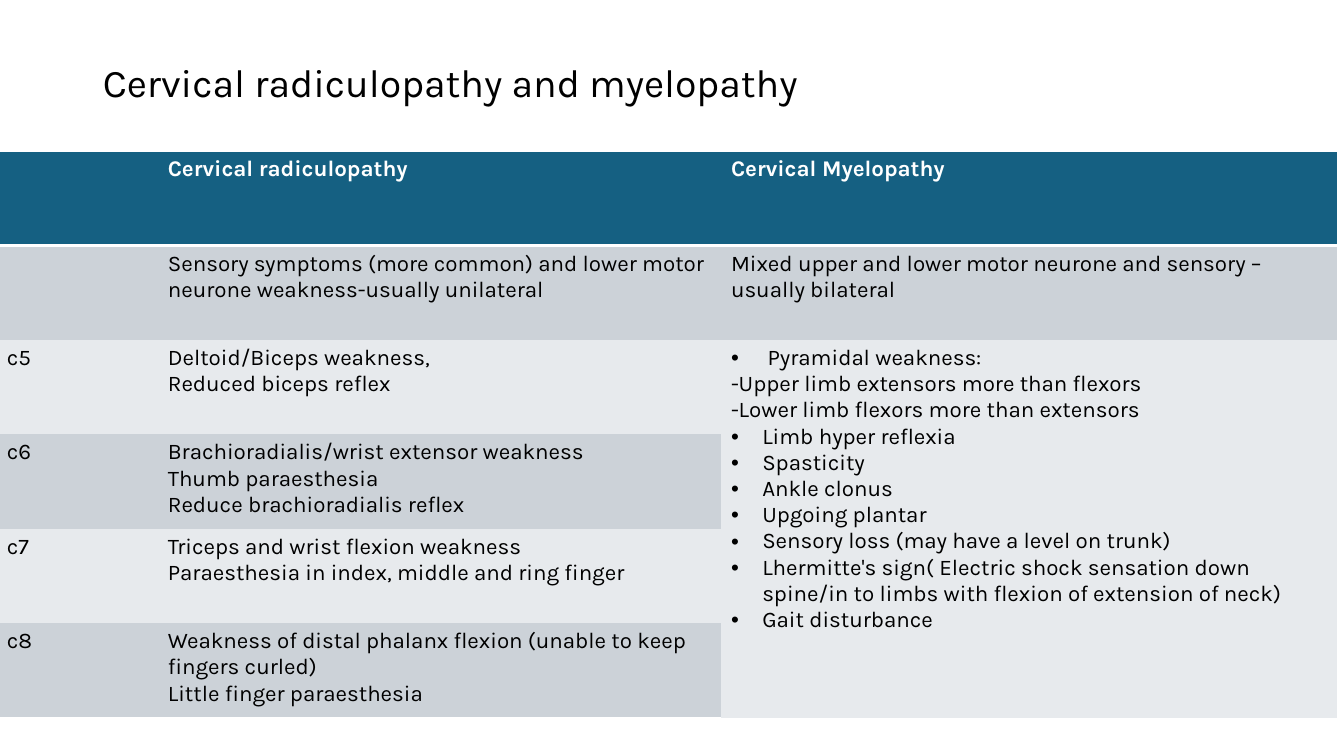
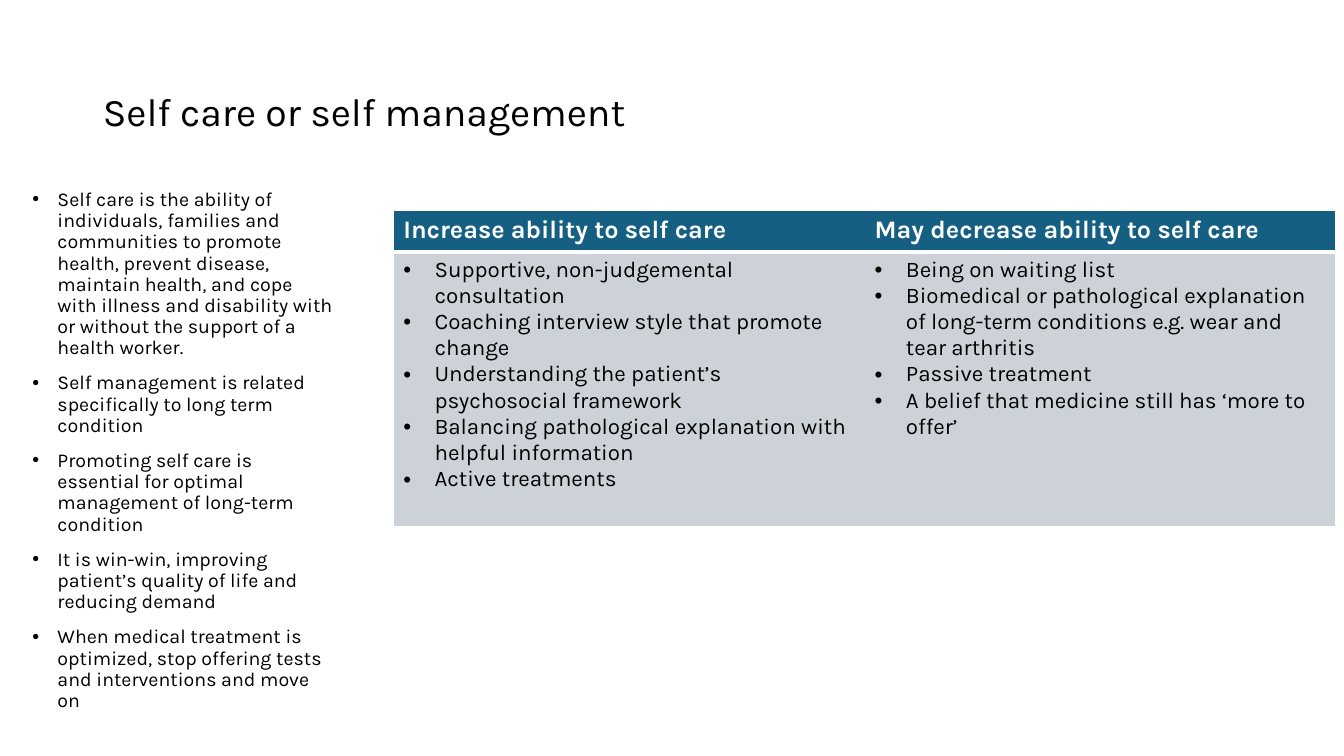
from collections import namedtuple

from lxml.etree import SubElement
from pptx import Presentation
from pptx.dml.color import RGBColor
from pptx.enum.text import MSO_ANCHOR, MSO_AUTO_SIZE, PP_ALIGN
from pptx.oxml.ns import qn
from pptx.util import Inches, Pt

# Shared look
FONT = "Karla"
BLACK = RGBColor(0x00, 0x00, 0x00)
WHITE = RGBColor(0xFF, 0xFF, 0xFF)
HEADER_BLUE = RGBColor(0x15, 0x60, 0x82)
ROW_FILLS = (RGBColor(0xCC, 0xD2, 0xD8), RGBColor(0xE7, 0xEA, 0xED))
PLAIN_TABLE_STYLE = "{2D5ABB26-0587-4C30-8999-92F81FD0307C}"

SLIDE_WIDTH, SLIDE_HEIGHT = Inches(13.33), Inches(7.5)
TITLE_ONLY, TITLE_AND_BODY = 5, 1
TITLE_LEFT, TITLE_TOP, TITLE_WIDTH = 6.9, 5.33, 86.25

Box = namedtuple("Box", "left top width height")

# Slide content
RADICULOPATHY_ROWS = [
    [[], ["Cervical radiculopathy"], ["Cervical Myelopathy"]],
    [[],
     ["Sensory symptoms (more common) and lower motor neurone weakness-usually unilateral"],
     ["Mixed upper and lower motor neurone and sensory –usually bilateral"]],
    [["c5"], ["Deltoid/Biceps weakness,", "Reduced biceps reflex"], []],
    [["c6"], ["Brachioradialis/wrist extensor weakness", "Thumb paraesthesia",
              "Reduce brachioradialis reflex"], []],
    [["c7"], ["Triceps and wrist flexion weakness",
              "Paraesthesia in index, middle and ring finger"], []],
    [["c8"], ["Weakness of distal phalanx flexion (unable to keep fingers curled)",
              "Little finger paraesthesia"], []],
]
MYELOPATHY_SIGNS = [
    " Pyramidal weakness:",
    "-Upper limb extensors more than flexors",
    "-Lower limb flexors more than extensors",
    "Limb hyper reflexia",
    "Spasticity",
    "Ankle clonus",
    "Upgoing plantar",
    "Sensory loss (may have a level on trunk)",
    "Lhermitte's sign( Electric shock sensation down spine/in to limbs "
    "with flexion of extension of neck)",
    "Gait disturbance",
]
SELF_CARE_POINTS = [
    "Self care is the ability of individuals, families and communities to promote health, "
    "prevent disease, maintain health, and cope with illness and disability with or without "
    "the support of a health worker.",
    "Self management is related specifically to long term condition",
    "Promoting self care is essential for optimal management of long-term condition",
    "It is win-win, improving patient’s quality of life and reducing demand",
    "When medical treatment is optimized, stop offering tests and interventions and move on",
]
SELF_CARE_ROWS = [
    [["Increase ability to self care"], ["May decrease ability to self care"]],
    [["Supportive, non-judgemental consultation",
      "Coaching interview style that promote change",
      "Understanding the patient’s psychosocial framework",
      "Balancing pathological explanation with helpful information",
      "Active treatments"],
     ["Being on waiting list",
      "Biomedical or pathological explanation of long-term conditions e.g. wear and tear arthritis",
      "Passive treatment",
      "A belief that medicine still has ‘more to offer’"]],
]


def scaled(box):
    """Turn a box in percent of the slide into slide lengths."""
    return Box(int(SLIDE_WIDTH * box.left / 100), int(SLIDE_HEIGHT * box.top / 100),
               int(SLIDE_WIDTH * box.width / 100), int(SLIDE_HEIGHT * box.height / 100))


def place(shape, box):
    shape.left, shape.top, shape.width, shape.height = scaled(box)


def add_bullet(paragraph, indent):
    properties = paragraph._p.get_or_add_pPr()
    properties.set("marL", str(Inches(indent)))
    properties.set("indent", str(-Inches(indent)))
    SubElement(properties, qn("a:buFont")).set("typeface", "Arial")
    SubElement(properties, qn("a:buChar")).set("char", "•")


def write_lines(text_frame, lines, size, color=BLACK, bold=False, bullet_indent=0):
    """One paragraph per line; lines that open with a dash get no bullet."""
    text_frame.text = "\n".join(lines)
    for paragraph in text_frame.paragraphs:
        if bullet_indent and not paragraph.text.startswith("-"):
            add_bullet(paragraph, bullet_indent)
        for run in paragraph.runs:
            font = run.font
            font.name, font.size, font.bold = FONT, Pt(size), bold
            font.color.rgb = color


def add_titled_slide(presentation, layout, title_text, title_height):
    slide = presentation.slides.add_slide(presentation.slide_layouts[layout])
    title = slide.shapes.title
    place(title, Box(TITLE_LEFT, TITLE_TOP, TITLE_WIDTH, title_height))
    text_frame = title.text_frame
    write_lines(text_frame, [title_text], 28)
    text_frame.auto_size = MSO_AUTO_SIZE.NONE
    text_frame.vertical_anchor = MSO_ANCHOR.MIDDLE
    text_frame.paragraphs[0].alignment = PP_ALIGN.LEFT
    text_frame.paragraphs[0].line_spacing = 0.9
    return slide


def fill_body(body, box, lines):
    place(body, box)
    text_frame = body.text_frame
    write_lines(text_frame, lines, 14, bullet_indent=0.25)
    text_frame.auto_size = MSO_AUTO_SIZE.NONE
    for index, paragraph in enumerate(text_frame.paragraphs):
        paragraph.line_spacing = 0.9
        paragraph.space_before = Pt(10 if index else 0)


def set_border(cell, side, width):
    line = SubElement(cell._tc.get_or_add_tcPr(), qn(f"a:ln{side}"), w=str(Pt(width)))
    SubElement(SubElement(line, qn("a:solidFill")), qn("a:srgbClr")).set("val", str(WHITE))


def style_cell(cell, row, column, last_row, last_column):
    # White outer frame, with a thicker rule under the header
    if column == 0:
        set_border(cell, "L", 1)
    if column == last_column:
        set_border(cell, "R", 1)
    if row == 0:
        set_border(cell, "T", 1)
    if row in (0, last_row):
        set_border(cell, "B", 1 if row else 3)
    cell.fill.solid()
    cell.fill.fore_color.rgb = ROW_FILLS[(row - 1) % 2] if row else HEADER_BLUE


def add_banded_table(slide, box, rows, column_shares, row_shares,
                     header_size=16, bullet_indent=0):
    area = scaled(box)
    frame = slide.shapes.add_table(len(rows), len(column_shares), *area)
    table = frame.table
    for style in frame._element.iter(qn("a:tableStyleId")):
        style.text = PLAIN_TABLE_STYLE
    for column, share in zip(table.columns, column_shares):
        column.width = int(area.width * share)
    for row, share in zip(table.rows, row_shares):
        row.height = int(area.height * share)
    for row, row_cells in enumerate(rows):
        for column, lines in enumerate(row_cells):
            cell = table.cell(row, column)
            style_cell(cell, row, column, len(rows) - 1, len(column_shares) - 1)
            if row == 0:
                write_lines(cell.text_frame, lines, header_size, WHITE, bold=True)
            else:
                write_lines(cell.text_frame, lines, 16, bullet_indent=bullet_indent)
    return table


def build_radiculopathy_slide(presentation):
    slide = add_titled_slide(presentation, TITLE_ONLY,
                             "Cervical radiculopathy and myelopathy", 11.87)
    row_count = len(RADICULOPATHY_ROWS)
    table = add_banded_table(slide, Box(-0.23, 20, 99.77, 74.93), RADICULOPATHY_ROWS,
                             (0.12, 0.42, 0.46), [1 / row_count] * row_count)
    # Myelopathy signs run beside all four nerve roots
    signs = table.cell(2, 2)
    signs.merge(table.cell(row_count - 1, 2))
    write_lines(signs.text_frame, MYELOPATHY_SIGNS, 16, bullet_indent=0.31)


def build_self_care_slide(presentation):
    slide = add_titled_slide(presentation, TITLE_AND_BODY, "Self care or self management", 19.33)
    fill_body(slide.placeholders[1], Box(1.65, 24.4, 24.16, 63.47), SELF_CARE_POINTS)
    add_banded_table(slide, Box(29.26, 27.87, 70.14, 41.73), SELF_CARE_ROWS,
                     (0.5, 0.5), (0.13, 0.87), header_size=18, bullet_indent=0.31)


def main():
    presentation = Presentation()
    presentation.slide_width, presentation.slide_height = SLIDE_WIDTH, SLIDE_HEIGHT
    build_radiculopathy_slide(presentation)
    build_self_care_slide(presentation)
    presentation.save("out.pptx")


if __name__ == "__main__":
    main()
